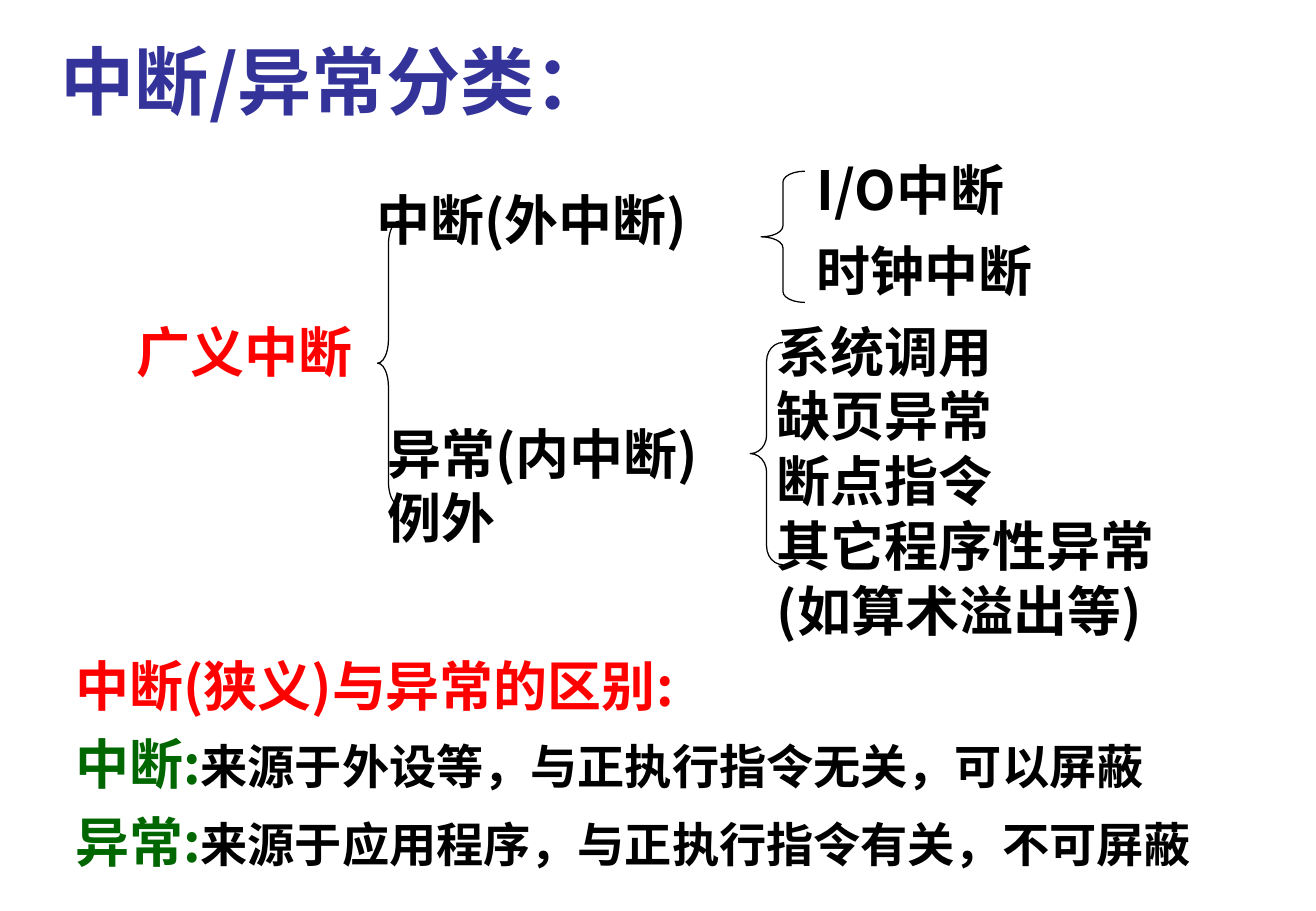
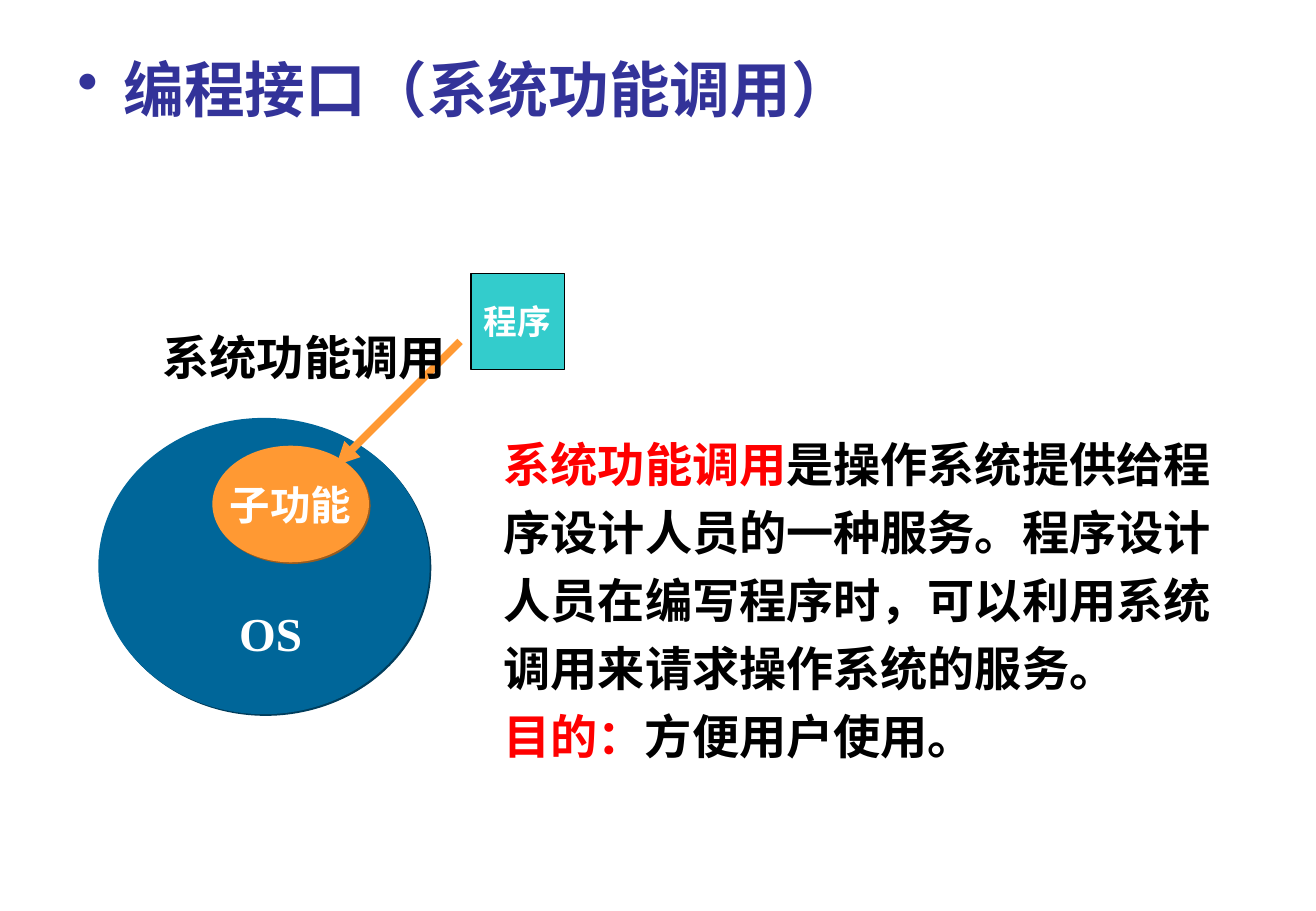
"""Build two slides on interrupt classes and the system call interface."""
from dataclasses import dataclass
from typing import Any, NamedTuple

from lxml.etree import SubElement
from pptx import Presentation
from pptx.dml.color import RGBColor
from pptx.enum.shapes import MSO_CONNECTOR, MSO_SHAPE
from pptx.enum.text import MSO_ANCHOR, MSO_AUTO_SIZE, PP_ALIGN
from pptx.oxml.ns import qn
from pptx.util import Inches, Pt

SLIDE_W, SLIDE_H = Inches(10.84), Inches(7.5)
CJK, LATIN, SERIF = "Noto Sans CJK SC", "Arial", "Times New Roman"
INDIGO, RED, GREEN = "333399", "FF0000", "006600"
BLACK, WHITE = "000000", "FFFFFF"
TEAL, NAVY, ORANGE = "33CCCC", "006699", "FF9933"


class Place(NamedTuple):
    """Left, top, width and height in percent of the slide."""
    left: float
    top: float
    width: float
    height: float


class Span(NamedTuple):
    """A stretch of text in one colour and size."""
    text: str
    color: str = BLACK
    size: int = 32


@dataclass(frozen=True)
class Label:
    """Text in a box, one tuple of spans for each paragraph."""
    place: Place
    lines: tuple[tuple[Span, ...], ...]
    font: str = CJK
    wrap: bool = False
    centred: bool = False
    spacing: float = 1.0
    bullet: bool = False
    grow: bool = True


@dataclass(frozen=True)
class Block:
    """A filled shape, with an optional caption, border and shadow."""
    place: Place
    kind: MSO_SHAPE
    fill: str
    caption: Span | None = None
    border: str | None = None
    shade: str | None = None


def rgb(color: str) -> RGBColor:
    """Turn a hex string into a colour."""
    return RGBColor.from_string(color)


def across(share: float) -> int:
    """Give a percentage of the slide width as a length."""
    return round(SLIDE_W * share / 100)


def down(share: float) -> int:
    """Give a percentage of the slide height as a length."""
    return round(SLIDE_H * share / 100)


def box(place: Place) -> tuple[int, int, int, int]:
    """Give a place as slide lengths."""
    return across(place.left), down(place.top), across(place.width), down(place.height)


def apply(target: Any, values: dict[str, Any]) -> None:
    """Set each named attribute of the target."""
    for name, value in values.items():
        setattr(target, name, value)


def add_span(paragraph: Any, span: Span, font: str) -> None:
    """Append a bold run to a paragraph."""
    run = paragraph.add_run()
    run.text = span.text
    apply(run.font, {"name": font, "size": Pt(span.size), "bold": True})
    run.font.color.rgb = rgb(span.color)
    SubElement(run.font._element, qn("a:ea"), typeface=CJK)


def add_bullet(paragraph: Any, color: str) -> None:
    """Give a paragraph a hanging round bullet."""
    properties = paragraph._p.get_or_add_pPr()
    indent = Inches(0.38)
    properties.set("marL", str(indent))
    properties.set("indent", str(-indent))
    tint = SubElement(properties, qn("a:buClr"))
    SubElement(tint, qn("a:srgbClr"), val=color)
    SubElement(properties, qn("a:buChar"), char="•")


def draw_label(slide: Any, label: Label) -> None:
    """Draw a text box."""
    frame = slide.shapes.add_textbox(*box(label.place)).text_frame
    fit = MSO_AUTO_SIZE.SHAPE_TO_FIT_TEXT if label.grow else MSO_AUTO_SIZE.NONE
    apply(frame, {"word_wrap": label.wrap, "auto_size": fit})
    for index, spans in enumerate(label.lines):
        paragraph = frame.add_paragraph() if index else frame.paragraphs[0]
        apply(paragraph, {
            "alignment": PP_ALIGN.CENTER if label.centred else PP_ALIGN.LEFT,
            "line_spacing": label.spacing,
        })
        if label.bullet:
            add_bullet(paragraph, spans[0].color)
        for span in spans:
            add_span(paragraph, span, label.font)


def draw_brace(slide: Any, place: Place) -> None:
    """Draw a left brace whose curves are a twelfth of its height."""
    brace = slide.shapes.add_shape(MSO_SHAPE.LEFT_BRACE, *box(place))
    brace.adjustments[0] = brace.height / (12 * brace.width)
    brace.shadow.inherit = False
    brace.fill.background()
    brace.line.color.rgb = rgb(BLACK)
    brace.line.width = Pt(0.75)


def draw_block(slide: Any, block: Block) -> None:
    """Draw a filled shape with its caption in the middle."""
    shape = slide.shapes.add_shape(block.kind, *box(block.place))
    shape.shadow.inherit = False
    shape.fill.solid()
    shape.fill.fore_color.rgb = rgb(block.fill)
    if block.border:
        shape.line.color.rgb = rgb(block.border)
        shape.line.width = Pt(0.75)
    else:
        shape.line.fill.background()
    if block.shade:
        effects = shape._element.spPr.find(qn("a:effectLst"))
        shadow = SubElement(effects, qn("a:outerShdw"), dist=str(Pt(1.4)),
                            dir="2700000", algn="ctr", rotWithShape="0")
        SubElement(shadow, qn("a:srgbClr"), val=block.shade)
    if block.caption:
        frame = shape.text_frame
        apply(frame, {"word_wrap": False, "vertical_anchor": MSO_ANCHOR.MIDDLE})
        frame.paragraphs[0].alignment = PP_ALIGN.CENTER
        add_span(frame.paragraphs[0], block.caption, SERIF)


def draw_arrow(slide: Any, start: tuple[float, float], end: tuple[float, float]) -> None:
    """Draw a thick arrow between two points given in percent."""
    arrow = slide.shapes.add_connector(
        MSO_CONNECTOR.STRAIGHT, across(start[0]), down(start[1]), across(end[0]), down(end[1]))
    arrow.line.color.rgb = rgb(ORANGE)
    arrow.line.width = Pt(4.5)
    SubElement(arrow.line._get_or_add_ln(), qn("a:tailEnd"), type="triangle")
    SubElement(arrow._element.spPr, qn("a:effectLst"))


def plain(*texts: str) -> tuple[tuple[Span, ...], ...]:
    """Make one black paragraph of each text."""
    return tuple((Span(text),) for text in texts)


CLASS_LABELS = (
    Label(Place(3.69, 3.2, 46.31, 11.2), ((Span("中断/异常分类：", INDIGO, 44),),)),
    Label(Place(4.8, 69.6, 90.5, 26.93), (
        (Span("中断(狭义)与异常的区别:", RED),),
        (Span("中断:", GREEN), Span("来源于外设等，与正执行指令无关，可以屏蔽", size=28)),
        (Span("异常:", GREEN), Span("来源于应用程序，与正执行指令有关，不可屏蔽", size=28)),
    ), wrap=True, spacing=1.2),
    Label(Place(27.68, 19.87, 30.26, 8.53), plain("中断(外中断)")),
    Label(Place(28.51, 45.47, 30.26, 15.6), plain("异常(内中断)", "例外")),
    Label(Place(61.16, 16.53, 23.34, 8.53), plain("I/O中断"), wrap=True),
    Label(Place(61.16, 25.47, 26.66, 8.53), plain("时钟中断"), wrap=True),
    Label(Place(58.12, 34.27, 33.39, 36.93),
          plain("系统调用", "缺页异常", "断点指令", "其它程序性异常", "(如算术溢出等)")),
    Label(Place(9.5, 34.27, 18.27, 8.53), ((Span("广义中断", RED),),), SERIF),
)
CLASS_BRACES = (
    Place(57.84, 18.8, 3.32, 14.4),
    Place(28.69, 24.27, 1.66, 31.2),
    Place(57.01, 37.6, 2.49, 24.4),
)
CALL_BLOCKS = (
    Block(Place(7.47, 45.87, 25.18, 32.53), MSO_SHAPE.OVAL, NAVY, shade="003D5C"),
    Block(Place(16.14, 48.93, 11.9, 12.8), MSO_SHAPE.OVAL, ORANGE,
          Span("子功能", WHITE, 24), shade="995C1F"),
    Block(Place(35.79, 30, 7.1, 10.53), MSO_SHAPE.RECTANGLE, TEAL,
          Span("程序", WHITE, 20), border=BLACK),
)
CALL_LABELS = (
    Label(Place(4.98, 5.07, 89.94, 84.27), ((Span("编程接口（系统功能调用）", INDIGO, 36),),),
          LATIN, wrap=True, bullet=True, grow=False),
    Label(Place(17.25, 65.73, 6.64, 7.6), ((Span("OS", WHITE, 28),),), SERIF, centred=True),
    Label(Place(37.36, 45.87, 59.04, 38.67), (
        (Span("系统功能调用", RED, 28),
         Span("是操作系统提供给程序设计人员的一种服务。程序设计人员在编写程序时，"
              "可以利用系统调用来请求操作系统的服务。", size=28)),
        (Span("目的：", RED, 28), Span("方便用户使用。", size=28)),
    ), SERIF, wrap=True, spacing=1.2),
    Label(Place(11.44, 35.33, 23.34, 7.6), ((Span("系统功能调用", size=28),),),
          SERIF, centred=True),
)


def add_slide(deck: Any) -> Any:
    """Add a blank white slide."""
    slide = deck.slides.add_slide(deck.slide_layouts[6])
    slide.background.fill.solid()
    slide.background.fill.fore_color.rgb = rgb(WHITE)
    return slide


def main() -> None:
    """Build and save the presentation."""
    deck = Presentation()
    apply(deck, {"slide_width": SLIDE_W, "slide_height": SLIDE_H})
    classes = add_slide(deck)
    for label in CLASS_LABELS:
        draw_label(classes, label)
    for place in CLASS_BRACES:
        draw_brace(classes, place)
    calls = add_slide(deck)
    for block in CALL_BLOCKS:
        draw_block(calls, block)
    draw_arrow(calls, (34.96, 37.47), (25.55, 51.07))
    for label in CALL_LABELS:
        draw_label(calls, label)
    deck.save("out.pptx")


if __name__ == "__main__":
    main()
